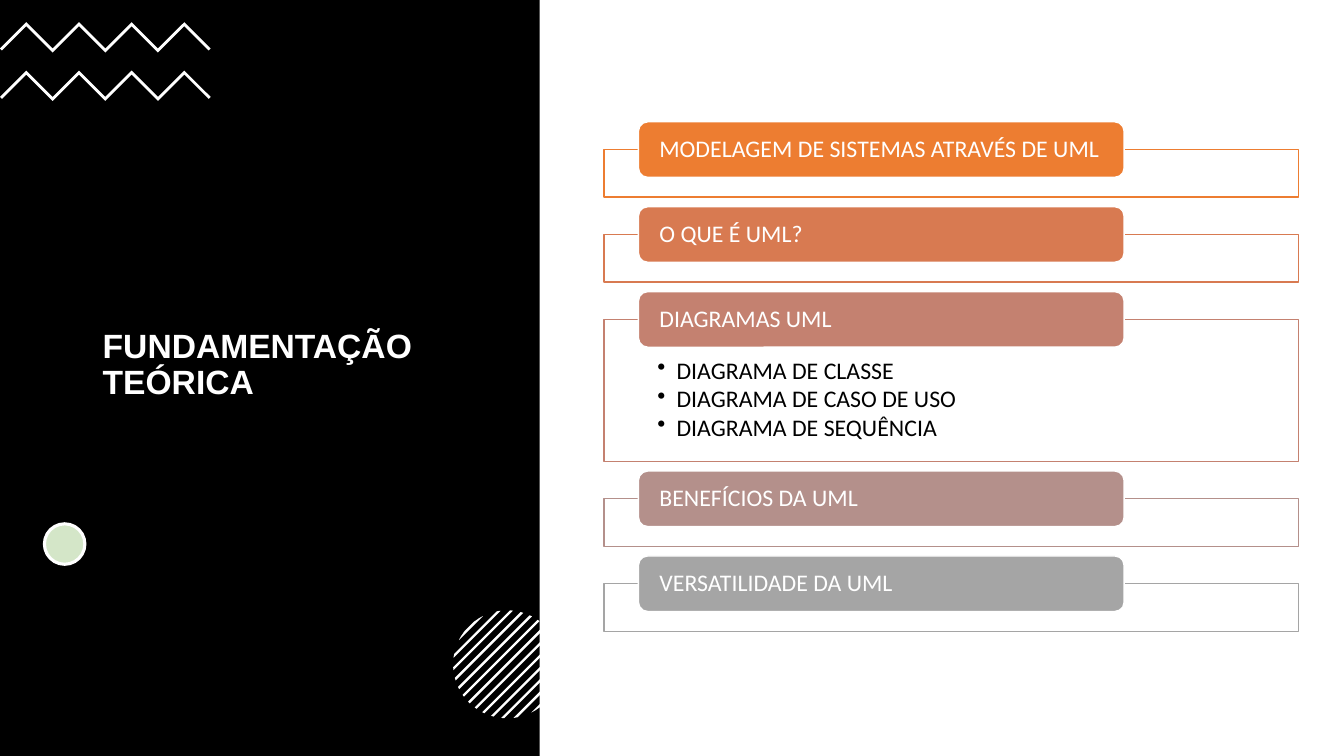
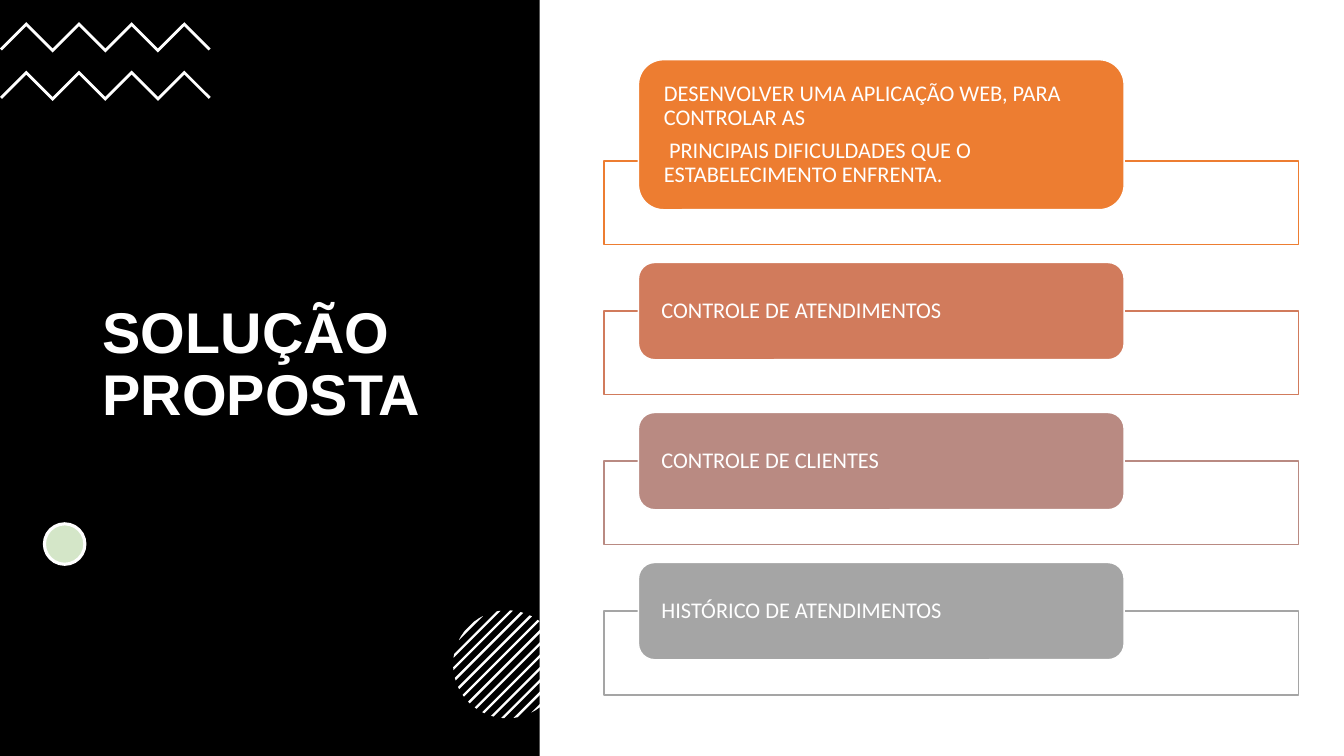
from dataclasses import dataclass
from math import acos, cos, pi, sin

from lxml import etree
from pptx import Presentation
from pptx.dml.color import RGBColor
from pptx.enum.shapes import MSO_SHAPE
from pptx.enum.text import MSO_ANCHOR, PP_ALIGN
from pptx.oxml.ns import qn
from pptx.util import Cm, Pt

RECTANGLE = MSO_SHAPE.RECTANGLE
ROUNDED = MSO_SHAPE.ROUNDED_RECTANGLE
OVAL = MSO_SHAPE.OVAL
MIDDLE = MSO_ANCHOR.MIDDLE
TOP = MSO_ANCHOR.TOP
LEFT = PP_ALIGN.LEFT

BLACK = RGBColor(0x00, 0x00, 0x00)
WHITE = RGBColor(0xFF, 0xFF, 0xFF)
PALE_GREEN = RGBColor(0xD4, 0xE6, 0xC8)
ORANGE = RGBColor(0xED, 0x7D, 0x31)
COPPER = RGBColor(0xD8, 0x7A, 0x51)
TERRACOTTA = RGBColor(0xD1, 0x7B, 0x5C)
CLAY = RGBColor(0xC4, 0x81, 0x70)
ROSE = RGBColor(0xB9, 0x8A, 0x82)
MAUVE = RGBColor(0xB4, 0x90, 0x8B)
GRAY = RGBColor(0xA5, 0xA5, 0xA5)

TITLE_FONT = "Arial"
BODY_FONT = "Calibri"

# Shared geometry, in centimetres
SLIDE_WIDTH, SLIDE_HEIGHT = 33.87, 19.05
PANEL_WIDTH = 13.6
FRAME_LEFT, FRAME_WIDTH = 15.22, 17.5
CARD_LEFT, CARD_WIDTH = 16.09, 12.24
CARD_INSETS = (0.46, 0, 0.46, 0)
FRAME_INSETS = (1.35, 0.99, 1.35, 0.33)


@dataclass
class ListStyle:
    """Vertical rhythm of a list: lengths in centimetres, size in points."""
    top: float
    frame_height: float
    gap: float
    card_height: float
    text_size: int


@dataclass
class Item:
    color: RGBColor
    heading: tuple
    bullets: tuple = ()
    frame_height: float = 0
    card_height: float = 0


# Basic elements
def paint(shape, fill, line=None, line_width=1):
    shape.shadow.inherit = False
    shape.fill.solid()
    shape.fill.fore_color.rgb = fill
    if line is None:
        shape.line.fill.background()
    else:
        shape.line.color.rgb = line
        shape.line.width = Pt(line_width)


def add_box(slide, kind, left, top, width, height, fill, line=None, line_width=1):
    shape = slide.shapes.add_shape(kind, Cm(left), Cm(top), Cm(width), Cm(height))
    paint(shape, fill, line, line_width)
    return shape


def add_outline(slide, points, fill):
    corners = [(Cm(x), Cm(y)) for x, y in points]
    builder = slide.shapes.build_freeform(*corners[0])
    builder.add_line_segments(corners[1:], close=True)
    paint(builder.convert_to_shape(), fill)


def add_bullet(paragraph):
    properties = paragraph._p.get_or_add_pPr()
    properties.set("marL", str(Cm(0.48)))
    properties.set("indent", str(-Cm(0.48)))
    etree.SubElement(properties, qn("a:buChar")).set("char", "•")


def write_text(shape, lines, font, size, color, anchor=MIDDLE, insets=None,
               space_after=0, bold=False, bulleted=False):
    frame = shape.text_frame
    frame.word_wrap = True
    frame.vertical_anchor = anchor
    if insets:
        (frame.margin_left, frame.margin_top,
         frame.margin_right, frame.margin_bottom) = map(Cm, insets)
    for index, line in enumerate(lines):
        paragraph = frame.add_paragraph() if index else frame.paragraphs[0]
        paragraph.alignment = LEFT
        paragraph.line_spacing = 0.9
        paragraph.space_after = Pt(space_after)
        if bulleted:
            add_bullet(paragraph)
        run = paragraph.add_run()
        run.text = line
        run.font.name = font
        run.font.size = Pt(size)
        run.font.bold = bold
        run.font.color.rgb = color


# Decorations of the black panel
def add_zigzag(slide, top, width=5.31, teeth=8, thickness=0.1):
    step = width / teeth
    upper = [(i * step, top + (0 if i % 2 else step)) for i in range(teeth + 1)]
    lower = [(x, y + thickness) for x, y in upper[1:-1]]
    half = thickness / 2
    end_y = top + step + half
    lower = [(half, end_y), *lower, (width - half, end_y)]
    add_outline(slide, upper + lower[::-1], WHITE)


def add_striped_disc(slide, center_x, center_y, radius, stripes=13,
                     pitch=0.22, thickness=0.06):
    for index in range(stripes):
        offset = (index - stripes // 2) * pitch
        edges = (offset - thickness / 2, offset, offset + thickness / 2)
        arc = [acos(max(-1, min(1, edge / radius))) for edge in edges]
        angles = arc + [-angle for angle in reversed(arc)]
        points = [(center_x + radius * cos(pi / 4 + angle),
                   center_y + radius * sin(pi / 4 + angle)) for angle in angles]
        add_outline(slide, points, WHITE)


def add_title_panel(slide, title, size):
    add_box(slide, RECTANGLE, 0, 0, PANEL_WIDTH, SLIDE_HEIGHT, BLACK)
    box = slide.shapes.add_textbox(Cm(2.34), Cm(3.33), Cm(8.89), Cm(11.76))
    write_text(box, [title], TITLE_FONT, size, WHITE, bold=True)
    for top in (0.56, 1.78):
        add_zigzag(slide, top)
    add_box(slide, OVAL, 1.12, 13.2, 1.02, 1.02, PALE_GREEN, WHITE, 2.25)
    add_striped_disc(slide, 12.78, 16.74, 1.36)


# List of framed cards
def add_card_list(slide, items, style):
    top = style.top
    for item in items:
        frame_height = item.frame_height or style.frame_height
        card_height = item.card_height or style.card_height
        frame = add_box(slide, RECTANGLE, FRAME_LEFT, top, FRAME_WIDTH,
                        frame_height, WHITE, item.color)
        if item.bullets:
            write_text(frame, item.bullets, BODY_FONT, style.text_size, BLACK,
                       TOP, FRAME_INSETS, space_after=2, bulleted=True)
        card_top = top + style.card_height / 2 - card_height
        card = add_box(slide, ROUNDED, CARD_LEFT, card_top, CARD_WIDTH,
                       card_height, item.color, WHITE)
        write_text(card, item.heading, BODY_FONT, style.text_size, WHITE,
                   insets=CARD_INSETS, space_after=6)
        top += frame_height + style.gap


THEORY_STYLE = ListStyle(top=3.77, frame_height=1.2, gap=0.94,
                         card_height=1.4, text_size=17)
THEORY_ITEMS = (
    Item(ORANGE, ("MODELAGEM DE SISTEMAS ATRAVÉS DE UML",)),
    Item(COPPER, ("O QUE É UML?",)),
    Item(CLAY, ("DIAGRAMAS UML",),
         ("DIAGRAMA DE CLASSE", "DIAGRAMA DE CASO DE USO", "DIAGRAMA DE SEQUÊNCIA"),
         frame_height=3.58),
    Item(MAUVE, ("BENEFÍCIOS DA UML",)),
    Item(GRAY, ("VERSATILIDADE DA UML",)),
)

SOLUTION_STYLE = ListStyle(top=4.06, frame_height=2.11, gap=1.67,
                           card_height=2.45, text_size=16)
SOLUTION_ITEMS = (
    Item(ORANGE, ("DESENVOLVER UMA APLICAÇÃO WEB, PARA CONTROLAR AS",
                  " PRINCIPAIS DIFICULDADES QUE O ESTABELECIMENTO ENFRENTA."),
         card_height=3.78),
    Item(TERRACOTTA, ("CONTROLE DE ATENDIMENTOS",)),
    Item(ROSE, ("CONTROLE DE CLIENTES",)),
    Item(GRAY, ("HISTÓRICO DE ATENDIMENTOS",)),
)

SLIDES = (
    ("FUNDAMENTAÇÃO TEÓRICA", 24, THEORY_ITEMS, THEORY_STYLE),
    ("SOLUÇÃO PROPOSTA", 41, SOLUTION_ITEMS, SOLUTION_STYLE),
)


def main():
    presentation = Presentation()
    presentation.slide_width = Cm(SLIDE_WIDTH)
    presentation.slide_height = Cm(SLIDE_HEIGHT)
    blank_layout = presentation.slide_layouts[6]
    for title, title_size, items, style in SLIDES:
        slide = presentation.slides.add_slide(blank_layout)
        add_title_panel(slide, title, title_size)
        add_card_list(slide, items, style)
    presentation.save("out.pptx")


if __name__ == "__main__":
    main()
